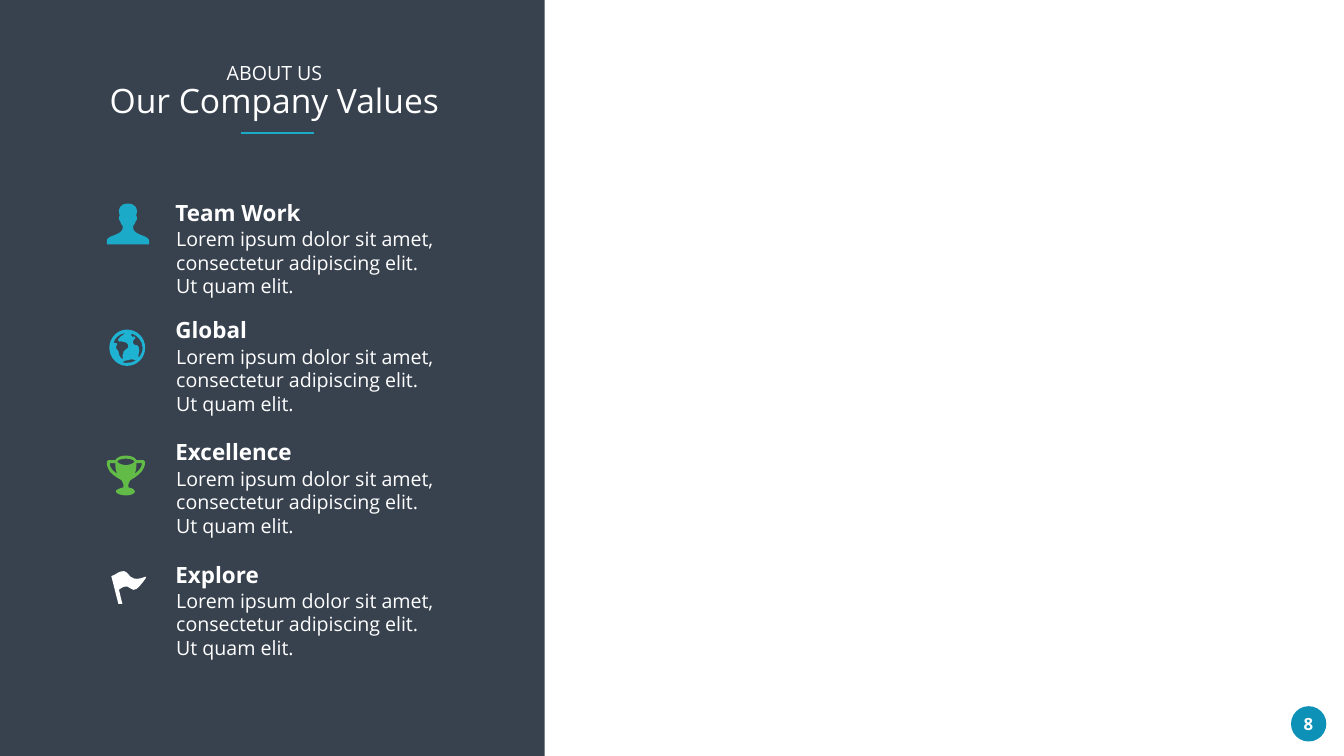
from typing import NamedTuple

from lxml import etree
from pptx import Presentation
from pptx.dml.color import RGBColor
from pptx.enum.shapes import MSO_CONNECTOR, MSO_SHAPE
from pptx.enum.text import MSO_ANCHOR, MSO_AUTO_SIZE, PP_ALIGN
from pptx.oxml.ns import qn
from pptx.util import Cm, Pt

RECT, OVAL = MSO_SHAPE.RECTANGLE, MSO_SHAPE.OVAL
LINE = MSO_CONNECTOR.STRAIGHT
TOP = MSO_ANCHOR.TOP
GROW = MSO_AUTO_SIZE.SHAPE_TO_FIT_TEXT
LEFT, CENTER = PP_ALIGN.LEFT, PP_ALIGN.CENTER

FONT = "Open Sans"
COLORS = {
    "panel": "2C3744",
    "badge": "0E91B7",
    "aqua": "1CAAC9",
    "sky": "1FB3D3",
    "green": "61BB46",
    "white": "FFFFFF",
}
BODY = "Lorem ipsum dolor sit amet, consectetur adipiscing elit. Ut quam elit."

# Icon outlines in hundredths of an inch: M move, L line, C cubic curve
PERSON = """M 67 62 C 55 57 52 53 52 45 C 52 42 55 44 57 36 C 57 32 60 36 60 28
C 60 24 58 24 58 24 C 58 24 60 19 60 16 C 60 11 58 0 42 0 C 26 0 24 11 24 16
C 24 19 26 24 26 24 C 26 24 24 24 24 28 C 24 36 27 32 27 36 C 29 44 32 42 32 45
C 32 53 29 57 17 62 C 6 65 0 70 0 73 L 0 81 L 84 81 L 84 73 C 84 70 78 65 67 62"""
GLOBE = """M 35 0 C 16 0 0 16 0 36 C 0 56 16 72 35 72 C 55 72 71 56 71 36
C 71 16 55 0 35 0
M 66 36 C 66 44 63 49 59 55 C 58 55 56 52 58 49 C 59 47 59 41 59 39
C 59 36 58 31 55 31 C 51 31 50 31 47 27 C 45 19 55 18 51 14 C 50 12 45 18 43 10
L 45 8 C 56 12 66 23 66 36
M 32 7 C 30 8 29 8 28 10 C 25 12 24 11 22 14 C 21 16 17 19 17 20
C 17 22 20 24 20 24 C 21 23 24 23 26 24 C 28 24 41 26 37 36 C 35 40 29 39 28 44
C 28 45 28 49 26 51 C 26 52 28 59 26 59 C 25 59 20 52 20 52 C 20 51 18 47 18 43
C 18 40 13 40 13 36 C 13 32 16 29 16 28 C 14 26 9 26 8 26 C 12 15 21 8 32 7
M 26 65 C 28 64 28 62 30 62 C 32 62 33 62 35 61 C 37 61 41 60 43 59
C 46 59 51 60 53 61 C 47 65 42 66 35 66 C 33 66 29 66 26 65"""
TROPHY = """M 43 57 C 43 51 47 48 55 44 C 64 37 76 30 76 12 C 76 10 75 9 73 9
L 59 9 C 56 4 50 0 38 0 C 26 0 20 4 17 9 L 3 9 C 1 9 0 10 0 12
C 0 30 10 37 21 44 C 29 48 33 51 33 57 L 33 63 C 24 65 18 68 18 71
C 18 75 27 79 38 79 C 49 79 56 75 56 71 C 56 68 52 65 43 63 L 43 57
M 55 36 C 58 31 59 24 59 15 L 70 15 C 69 25 63 31 55 36
M 38 6 C 50 6 55 10 55 12 C 55 13 50 18 38 19 C 26 18 21 13 21 12
C 21 10 26 6 38 6
M 6 15 L 17 15 C 17 24 18 31 21 36 C 13 31 6 25 6 15"""
FLAG = """M 68 28 C 24 46 42 0 7 24 L 0 27 L 14 82 L 22 82 L 15 54
C 46 30 33 82 69 30 C 70 30 69 28 68 28"""


class Value(NamedTuple):
    name: str
    top: float
    width: float
    icon: str
    x: float
    y: float
    color: str


VALUES = [
    Value("Team Work", 9.71, 7.75, PERSON, 5.38, 10.26, "aqua"),
    Value("Global", 15.62, 5.0, GLOBE, 5.51, 16.61, "sky"),
    Value("Excellence", 21.77, 7.26, TROPHY, 5.38, 22.96, "green"),
    Value("Explore", 27.93, 5.61, FLAG, 5.61, 28.35, "white"),
]


def rgb(name: str) -> RGBColor:
    return RGBColor.from_string(COLORS[name])


def paint(shape, color: str) -> None:
    shape.shadow.inherit = False
    shape.fill.solid()
    shape.fill.fore_color.rgb = rgb(color)
    shape.line.fill.background()


def setup(frame, side: float, edge: float, wrap: bool) -> None:
    frame.margin_left = frame.margin_right = Cm(side)
    frame.margin_top = frame.margin_bottom = Cm(edge)
    frame.auto_size = GROW
    frame.word_wrap = wrap
    frame.vertical_anchor = TOP


def write(para, text: str, size: int, bold: bool = False, align=LEFT) -> None:
    para.alignment = align
    run = para.add_run()
    run.text = text
    font = run.font
    font.name, font.size, font.bold = FONT, Pt(size), bold
    font.color.rgb = rgb("white")


def add_text(slide, box: tuple, text: str, size: int, bold: bool, wrap: bool) -> None:
    frame = slide.shapes.add_textbox(*map(Cm, box)).text_frame
    setup(frame, 0.69, 0.33, wrap)
    write(frame.paragraphs[0], text, size, bold)


def add_icon(slide, item: Value) -> None:
    loops = []
    for part in item.icon.split("M")[1:]:
        nums = [int(word) for word in part.split() if word.isdigit()]
        loops.append(list(zip(nums[::2], nums[1::2])))
    pen = slide.shapes.build_freeform(*loops[0][0], scale=Cm(2.54) / 100)
    pen.add_line_segments(loops[0][1:])
    for loop in loops[1:]:
        pen.move_to(*loop[0])
        pen.add_line_segments(loop[1:])
    shape = pen.convert_to_shape(Cm(item.x), Cm(item.y))
    paint(shape, item.color)

    # Join each three segments of a curve into one Bezier
    nodes = shape._element.iter(qn("a:moveTo"), qn("a:lnTo"))
    nodes = iter(list(nodes))
    for step in filter(str.isalpha, item.icon.split()):
        node = next(nodes)
        if step == "C":
            node.tag = qn("a:cubicBezTo")
            for _ in range(2):
                extra = next(nodes)
                node.append(extra[0])
                extra.getparent().remove(extra)


def main() -> None:
    deck = Presentation()
    deck.slide_width, deck.slide_height = Cm(67.72), Cm(38.1)
    slide = deck.slides.add_slide(deck.slide_layouts[5])
    shapes = slide.shapes

    # Page number
    badge = shapes.add_shape(OVAL, Cm(65.05), Cm(35.59), Cm(1.78), Cm(1.78))
    paint(badge, "badge")
    frame = shapes.add_textbox(Cm(64.92), Cm(35.84), Cm(2.01), Cm(1.27)).text_frame
    setup(frame, 0.25, 0.13, True)
    write(frame.paragraphs[0], "8", 24, True, CENTER)

    # Side panel, behind the title
    panel = shapes.add_shape(RECT, 0, 0, Cm(27.44), Cm(38.1))
    paint(panel, "panel")
    tint = panel.fill._xPr.find(qn("a:solidFill"))[0]
    etree.SubElement(tint, qn("a:alpha"), val="94000")
    title = shapes.title
    panel._element.addnext(title._element)

    # Title and rule
    title.left, title.top, title.width, title.height = map(Cm, (5.18, 3.05, 17.3, 3.18))
    frame = title.text_frame
    setup(frame, 0.25, 0.13, False)
    write(frame.paragraphs[0], "ABOUT US", 28, align=CENTER)
    write(frame.add_paragraph(), "Our Company Values", 48, align=CENTER)
    for para in frame.paragraphs:
        para.line_spacing = 0.9
    rule = shapes.add_connector(LINE, Cm(15.8), Cm(6.71), Cm(12.14), Cm(6.71))
    rule.line.color.rgb, rule.line.width = rgb("aqua"), Pt(3)
    etree.SubElement(rule._element.spPr, qn("a:effectLst"))

    # Values
    for item in VALUES:
        add_icon(slide, item)
        add_text(slide, (8.19, item.top + 1.41, 14.48, 4.27), BODY, 28, False, True)
        add_text(slide, (8.15, item.top, item.width, 2.06), item.name, 32, True, False)

    deck.save("out.pptx")


if __name__ == "__main__":
    main()
